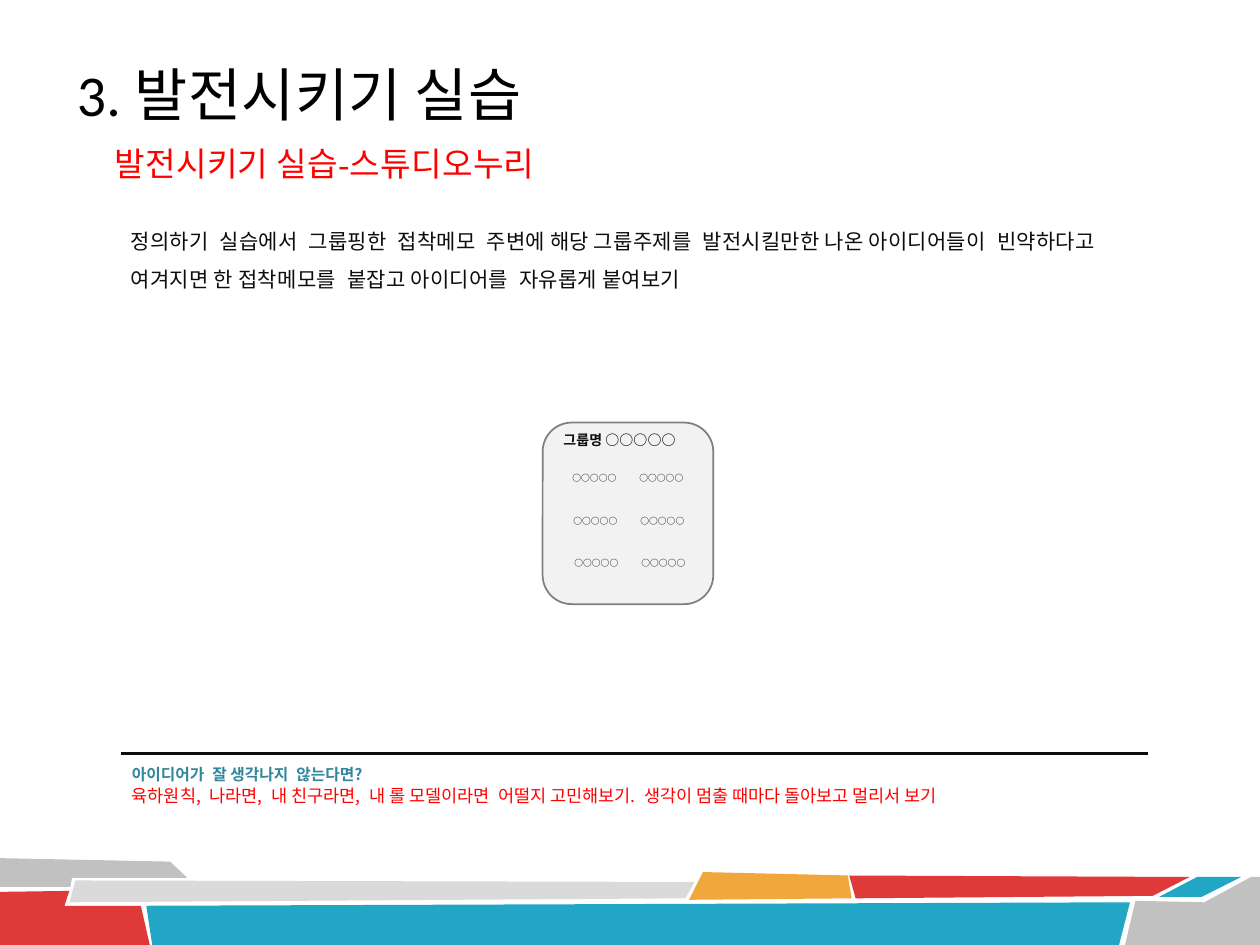
"""Builds the idea-development practice slide."""
from lxml.etree import SubElement
from pptx import Presentation
from pptx.dml.color import RGBColor
from pptx.enum.shapes import MSO_CONNECTOR as Connector, MSO_SHAPE as Shape
from pptx.enum.text import MSO_ANCHOR as Anchor
from pptx.oxml.ns import qn
from pptx.util import Cm, Pt

COLORS = {
    "black": "000000", "ink": "0D0D0D", "alert": "FF0000", "teal": "31859C",
    "card": "F2F2F2", "edge": "7F7F7F", "silver": "C1C1C1", "pale": "DADADA",
    "red": "DF3939", "blue": "21A6C5", "orange": "F0A73C",
}
KOREAN = "Noto Sans CJK KR"
LATIN = "Calibri"
SERIF = "Times New Roman"
WIDE_GAP = "|"
GAP_EMS = 0.28

RIBBONS = [
    ("silver", [(0, 17.3), (3.43, 17.37), (3.78, 17.7), (1.45, 17.7), (1.42, 17.88), (0, 17.88)]),
    ("red", [(0, 17.98), (1.4, 17.96), (1.3, 18.26), (2.84, 18.26), (3.02, 19.05), (0, 19.05)]),
    ("pale", [(1.52, 17.75), (14, 17.78), (13.82, 18.11), (1.4, 18.19)]),
    ("blue", [(2.95, 18.26), (22.78, 18.19), (22.56, 19.05), (3.07, 19.05)]),
    ("orange", [(14.17, 17.58), (17.09, 17.65), (17.17, 18.11), (13.89, 18.14)]),
    ("red", [(17.12, 17.65), (23.98, 17.68), (23.24, 18.06), (17.25, 18.11)]),
    ("blue", [(24.13, 17.68), (25.02, 17.68), (24.23, 18.08), (23.37, 18.08)]),
    ("silver", [(22.89, 18.16), (24.28, 18.19), (25.22, 17.68), (25.4, 17.68),
                (25.4, 19.05), (22.68, 19.05)]),
]

TITLE = [[("3. 발전시키기 실습", 33, LATIN, "black", False)]]
SUBTITLE = [[
    ("발전시키기 실습", 19, KOREAN, "alert", False),
    ("-", 19, SERIF, "alert", False),
    ("스튜디오누리", 19, KOREAN, "alert", False),
]]
BODY = [[(
    "정의하기|실습에서|그룹핑한|접착메모|주변에 해당 그룹주제를|발전시킬만한 "
    "나온 아이디어들이|빈약하다고 여겨지면 한 접착메모를|붙잡고 아이디어를|"
    "자유롭게 붙여보기", 12, KOREAN, "ink", False)]]
HINT = [
    [("아이디어가|잘 생각나지|않는다면?", 9, KOREAN, "teal", True)],
    [("육하원칙,|나라면,|내 친구라면,|내 롤 모델이라면|어떨지 고민해보기.|"
      "생각이 멈출 때마다 돌아보고 멀리서 보기", 10, KOREAN, "alert", False)],
]
GROUP_NAME = [[("그룹명 ○○○○○", 8, KOREAN, "ink", True)]]
NOTE = [[("○○○○○", 5, KOREAN, "ink", True)]]
NOTE_ROWS, NOTE_COLUMNS = 3, 2


def color(name):
    return RGBColor.from_string(COLORS[name])


def add_span(para, text, size, face, tint, bold, tracking):
    span = para.add_run()
    span.text = text
    span.font.size = Pt(size)
    span.font.name = face
    span.font.bold = bold
    span.font.color.rgb = color(tint)
    properties = span.font._element
    SubElement(properties, qn("a:ea")).set("typeface", KOREAN)
    if tracking:
        properties.set("spc", str(round(tracking * 100)))


def add_text(slide, place, paragraphs, inset=(0, 0), anchor=Anchor.TOP,
             line_spacing=None, space_before=0, tracking=0):
    frame = slide.shapes.add_textbox(*map(Cm, place)).text_frame
    frame.word_wrap = True
    frame.vertical_anchor = anchor
    frame.margin_left = frame.margin_right = Cm(inset[0])
    frame.margin_top = frame.margin_bottom = Cm(inset[1])
    for index, runs in enumerate(paragraphs):
        para = frame.add_paragraph() if index else frame.paragraphs[0]
        if line_spacing:
            para.line_spacing = line_spacing
        if index:
            para.space_before = Pt(space_before)
        for text, size, *style in runs:
            for order, phrase in enumerate(text.split(WIDE_GAP)):
                if order:
                    add_span(para, " ", size, *style, size * GAP_EMS)
                add_span(para, phrase, size, *style, tracking)


def add_ribbon(slide, tint, corners):
    points = [(Cm(x), Cm(y)) for x, y in corners]
    builder = slide.shapes.build_freeform(*points[0], scale=1.0)
    builder.add_line_segments(points[1:], close=True)
    ribbon = builder.convert_to_shape()
    ribbon.shadow.inherit = False
    ribbon.fill.solid()
    ribbon.fill.fore_color.rgb = color(tint)
    ribbon.line.fill.background()


def add_card(slide):
    card = slide.shapes.add_shape(Shape.ROUNDED_RECTANGLE, *map(Cm, (10.94, 8.52, 3.44, 3.66)))
    card.adjustments[0] = 0.17
    card.shadow.inherit = False
    card.fill.solid()
    card.fill.fore_color.rgb = color("card")
    card.line.color.rgb = color("edge")
    card.line.width = Pt(1)
    add_text(slide, (11.36, 8.69, 2.62, 0.36), GROUP_NAME)
    for row in range(NOTE_ROWS):
        for column in range(NOTE_COLUMNS):
            left = 11.54 + 1.35 * column + 0.02 * row
            add_text(slide, (left, 9.54 + 0.85 * row, 0.97, 0.23), NOTE)


def add_rule(slide):
    rule = slide.shapes.add_connector(
        Connector.STRAIGHT, *map(Cm, (2.43, 15.19, 23.14, 15.19)))
    rule.line.color.rgb = color("ink")
    rule.line.width = Pt(1.25)
    SubElement(rule._element.spPr, qn("a:effectLst"))


def main():
    deck = Presentation()
    deck.slide_width, deck.slide_height = Cm(25.4), Cm(19.05)
    page = deck.slides.add_slide(deck.slide_layouts[6])
    for tint, corners in RIBBONS:
        add_ribbon(page, tint, corners)
    add_text(page, (2.31, 2.88, 11.25, 0.84), SUBTITLE, tracking=0.2)
    add_card(page)
    add_text(page, (2.64, 4.35, 20, 1.55), BODY, line_spacing=1.5, tracking=0.15)
    add_rule(page)
    add_text(page, (2.66, 15.42, 19.46, 0.84), HINT, space_before=0.6)
    add_text(page, (1.3, 0.3, 24.1, 3.18), TITLE, inset=(0.25, 0.13),
             anchor=Anchor.MIDDLE, tracking=0.2)
    deck.save("out.pptx")


if __name__ == "__main__":
    main()
